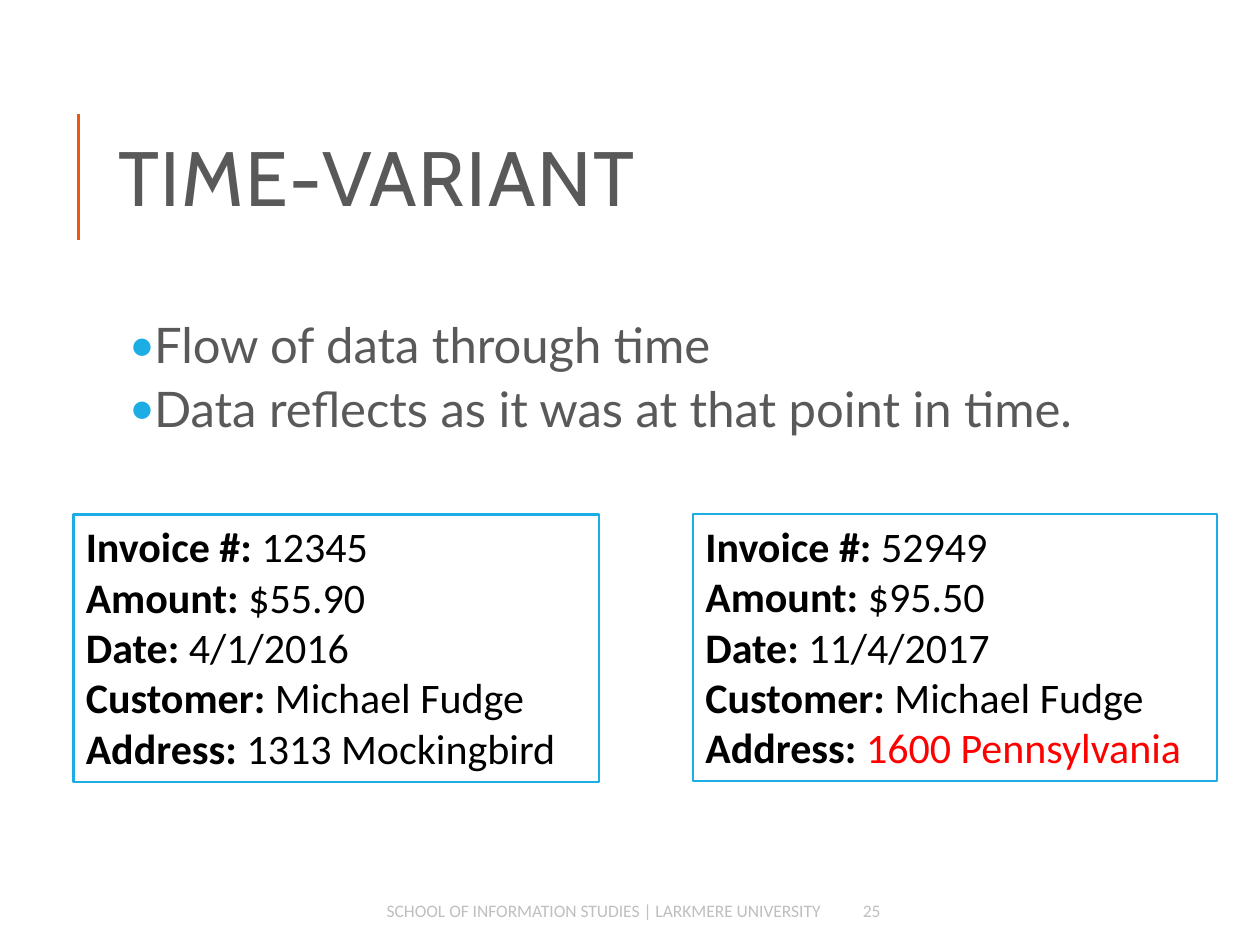
from dataclasses import dataclass

from lxml import etree
from pptx import Presentation
from pptx.dml.color import RGBColor
from pptx.enum.shapes import MSO_CONNECTOR, MSO_SHAPE
from pptx.enum.text import MSO_ANCHOR, PP_ALIGN
from pptx.oxml.ns import qn
from pptx.util import Inches, Pt

STRAIGHT = MSO_CONNECTOR.STRAIGHT
RECTANGLE = MSO_SHAPE.RECTANGLE
TOP, MIDDLE = MSO_ANCHOR.TOP, MSO_ANCHOR.MIDDLE
LEFT, RIGHT = PP_ALIGN.LEFT, PP_ALIGN.RIGHT
COLUMNS, ROWS = 100, 75


@dataclass(frozen=True)
class Theme:
    background: str = "FFFFFF"
    rule: str = "EE5612"
    accent: str = "1CADE4"
    text: str = "595959"
    ink: str = "000000"
    changed: str = "FF0000"
    muted: str = "BFBFBF"
    title_font: str = "Cabin"
    body_font: str = "Lato"
    plain_font: str = "Calibri"
    title_size: int = 44
    body_size: int = 28
    record_size: int = 24
    footer_size: int = 10


class SlideBuilder:
    def __init__(self, presentation, theme):
        self.theme = theme
        self.column = presentation.slide_width / COLUMNS
        self.row = presentation.slide_height / ROWS
        self.slide = presentation.slides.add_slide(presentation.slide_layouts[6])
        fill = self.slide.background.fill
        fill.solid()
        fill.fore_color.rgb = RGBColor.from_string(theme.background)

    def place(self, left, top, width, height):
        return (round(left * self.column), round(top * self.row),
                round(width * self.column), round(height * self.row))

    def style(self, paragraph, font, size, color):
        paragraph.font.name = font
        paragraph.font.size = Pt(size)
        paragraph.font.color.rgb = RGBColor.from_string(color)

    def text_frame(self, box, anchor=MIDDLE):
        frame = self.slide.shapes.add_textbox(*self.place(*box)).text_frame
        frame.word_wrap = True
        frame.vertical_anchor = anchor
        return frame

    def rule(self, column, top, bottom):
        left, start, _, length = self.place(column, top, 0, bottom - top)
        line = self.slide.shapes.add_connector(STRAIGHT, left, start, left, start + length)
        line.line.color.rgb = RGBColor.from_string(self.theme.rule)
        line.line.width = Pt(1.5)
        etree.SubElement(line._element.spPr, qn("a:effectLst"))

    def title(self, text, box):
        paragraph = self.text_frame(box).paragraphs[0]
        run = paragraph.add_run()
        run.text = text
        run.font._element.set("spc", "100")
        paragraph.line_spacing = 0.8
        self.style(paragraph, self.theme.title_font, self.theme.title_size, self.theme.text)

    def bullets(self, lines, box):
        frame = self.text_frame(box, TOP)
        frame.margin_left = frame.margin_right = Inches(0.05)
        frame.margin_top = frame.margin_bottom = Inches(0.05)
        for index, text in enumerate(lines):
            paragraph = frame.add_paragraph() if index else frame.paragraphs[0]
            paragraph.text = text
            paragraph.line_spacing = 0.9
            paragraph.space_before, paragraph.space_after = Pt(2), Pt(4)
            properties = paragraph._element.get_or_add_pPr()
            properties.set("marL", str(Inches(0.29)))
            properties.set("indent", str(Inches(-0.15)))
            color = etree.SubElement(properties, qn("a:buClr"))
            etree.SubElement(color, qn("a:srgbClr"), val=self.theme.accent)
            etree.SubElement(properties, qn("a:buFont"), typeface=self.theme.plain_font)
            etree.SubElement(properties, qn("a:buChar"), char="•")
            self.style(paragraph, self.theme.body_font, self.theme.body_size, self.theme.text)

    def record(self, fields, box, changed=()):
        shape = self.slide.shapes.add_shape(RECTANGLE, *self.place(*box))
        shape.shadow.inherit = False
        shape.fill.solid()
        shape.fill.fore_color.rgb = RGBColor.from_string(self.theme.background)
        shape.line.color.rgb = RGBColor.from_string(self.theme.accent)
        shape.line.width = Pt(1.25)
        frame = shape.text_frame
        frame.word_wrap = True
        frame.vertical_anchor = TOP
        for index, (label, value) in enumerate(fields.items()):
            paragraph = frame.add_paragraph() if index else frame.paragraphs[0]
            paragraph.alignment = LEFT
            self.style(paragraph, self.theme.plain_font, self.theme.record_size, self.theme.ink)
            label_run, value_run = paragraph.add_run(), paragraph.add_run()
            label_run.text, value_run.text = f"{label}: ", value
            label_run.font.bold = True
            if label in changed:
                value_run.font.color.rgb = RGBColor.from_string(self.theme.changed)

    def footer(self, text, box, alignment):
        paragraph = self.text_frame(box).paragraphs[0]
        paragraph.text = text
        paragraph.alignment = alignment
        self.style(paragraph, self.theme.plain_font, self.theme.footer_size, self.theme.muted)


def main():
    presentation = Presentation()
    presentation.slide_width, presentation.slide_height = Inches(10), Inches(7.5)
    builder = SlideBuilder(presentation, Theme())

    builder.rule(6.24, 9.04, 19.04)
    builder.title("TIME-VARIANT", (8.4, 6.4, 79.7, 16.4))
    builder.bullets(
        ["Flow of data through time", "Data reflects as it was at that point in time."],
        (8.4, 25, 79.7, 14.2))
    builder.footer("SCHOOL OF INFORMATION STUDIES | LARKMERE UNIVERSITY",
                   (18.9, 70.8, 47.2, 3), RIGHT)
    builder.footer("25", (67.5, 70.8, 9.1, 3), LEFT)

    first_invoice = {"Invoice #": "12345", "Amount": "$55.90", "Date": "4/1/2016",
                     "Customer": "Michael Fudge", "Address": "1313 Mockingbird"}
    later_invoice = first_invoice | {"Invoice #": "52949", "Amount": "$95.50",
                                     "Date": "11/4/2017", "Address": "1600 Pennsylvania"}
    builder.record(first_invoice, (5.83, 40.84, 41.7, 21.2))
    builder.record(later_invoice, (55, 40.8, 41.6, 21.2), changed={"Address"})

    presentation.save("out.pptx")


if __name__ == "__main__":
    main()
